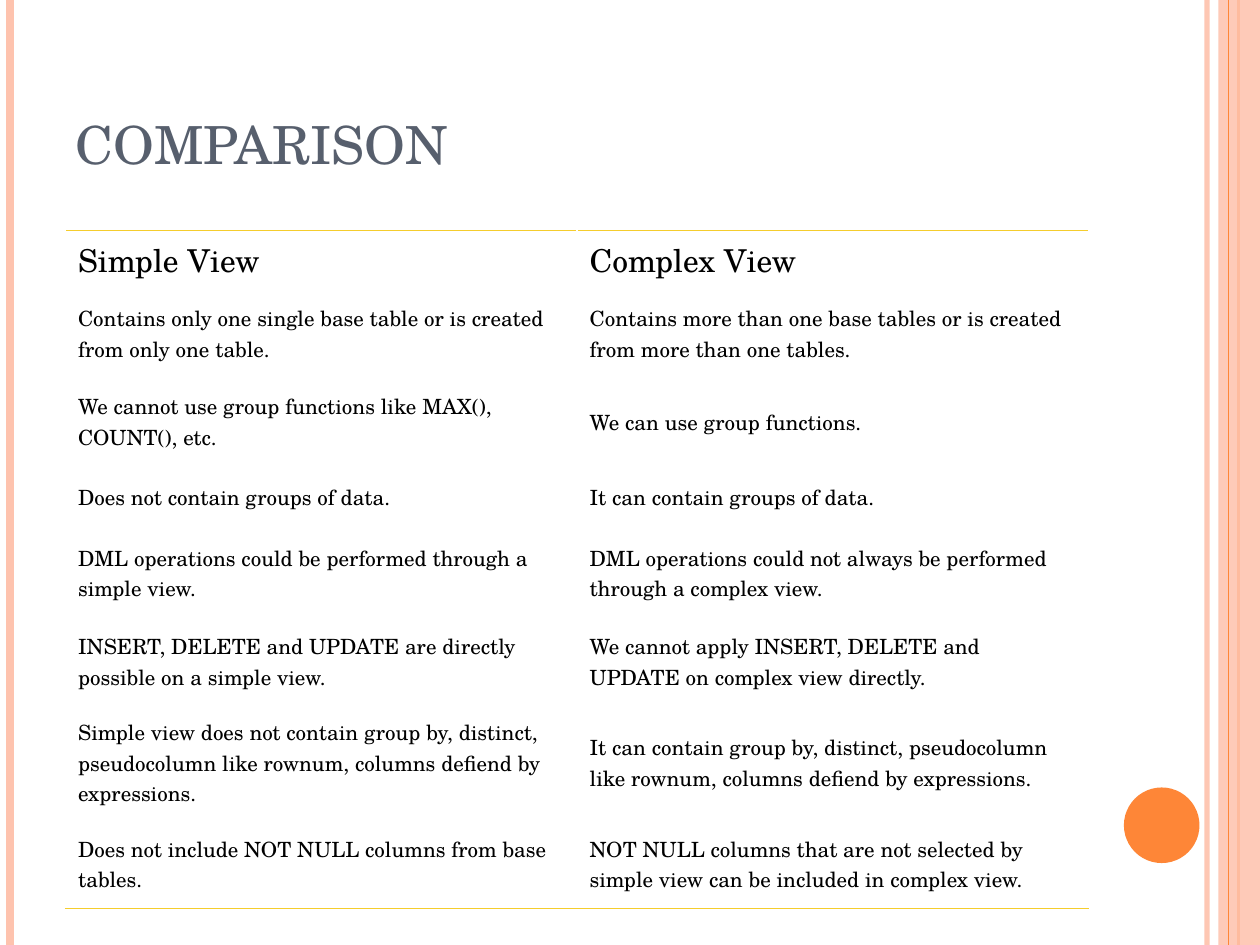
from lxml import etree
from pptx import Presentation
from pptx.dml.color import RGBColor
from pptx.enum.shapes import MSO_CONNECTOR, MSO_SHAPE
from pptx.enum.text import MSO_ANCHOR, PP_ALIGN
from pptx.oxml.ns import qn
from pptx.util import Inches, Pt

LINE = MSO_CONNECTOR.STRAIGHT
RECT = MSO_SHAPE.RECTANGLE
OVAL = MSO_SHAPE.OVAL
LEFT = PP_ALIGN.LEFT
MIDDLE = MSO_ANCHOR.MIDDLE
BOTTOM = MSO_ANCHOR.BOTTOM

FONT = "TeX Gyre Schola"
HUES = {"peach": "FEC3AE", "orange": "FE8637", "slate": "575F6D",
        "ink": "000000", "gold": "F5CD2D"}
STYLES = {
    "title": {"size": Pt(30), "name": FONT, "bold": False},
    "head": {"size": Pt(18), "name": FONT, "bold": False},
    "body": {"size": Pt(12), "name": FONT, "bold": False},
}
RULES = [(9.58, "peach", 3, 93), (0.08, "peach", 4.5, 100),
         (9.83, "orange", 1.5, 100)]
HEIGHTS = [0.4, 0.7, 0.7, 0.5, 0.7, 0.7, 0.91, 0.7]
ROWS = [
    ("Simple View", "Complex View"),
    ("Contains only one single base table or is created from only one table.",
     "Contains more than one base tables or is created from more than one tables."),
    ("We cannot use group functions like MAX(), COUNT(), etc.",
     "We can use group functions."),
    ("Does not contain groups of data.", "It can contain groups of data."),
    ("DML operations could be performed through a simple view.",
     "DML operations could not always be performed through a complex view."),
    ("INSERT, DELETE and UPDATE are directly possible on a simple view.",
     "We cannot apply INSERT, DELETE and UPDATE on complex view directly."),
    ("Simple view does not contain group by, distinct, pseudocolumn like rownum, "
     "columns defiend by expressions.",
     "It can contain group by, distinct, pseudocolumn like rownum, "
     "columns defiend by expressions."),
    ("Does not include NOT NULL columns from base tables.",
     "NOT NULL columns that are not selected by simple view "
     "can be included in complex view."),
]


class Deck:
    """Holds the style and the current slide, and draws each kind of element."""

    def __init__(self):
        self.show = Presentation()
        self.show.slide_width = Inches(10)
        self.show.slide_height = Inches(7.5)
        self.slide = self.show.slides.add_slide(self.show.slide_layouts[5])
        self.shapes = self.slide.shapes

    def hue(self, name):
        return RGBColor.from_string(HUES[name])

    def fade(self, part, alpha):
        if alpha < 100:
            tint = next(part.iter(qn("a:srgbClr")))
            etree.SubElement(tint, qn("a:alpha"), val=str(alpha * 1000))

    def label(self, frame, text, style, hue):
        frame.text = text
        para = frame.paragraphs[0]
        para.alignment = LEFT
        font = para.runs[0].font
        for key, value in STYLES[style].items():
            setattr(font, key, value)
        font.color.rgb = self.hue(hue)

    def rule(self, x, hue, width, alpha=100):
        line = self.shapes.add_connector(
            LINE, Inches(x), 0, Inches(x), self.show.slide_height)
        line.line.color.rgb = self.hue(hue)
        line.line.width = Pt(width)
        props = line._element.spPr
        self.fade(props, alpha)
        etree.SubElement(props, qn("a:effectLst"))

    def shape(self, kind, box, hue, alpha=100):
        item = self.shapes.add_shape(kind, *map(Inches, box))
        item.shadow.inherit = False
        item.fill.solid()
        item.fill.fore_color.rgb = self.hue(hue)
        item.line.fill.background()
        self.fade(item._element.spPr, alpha)

    def title(self, text, box):
        item = self.shapes.title
        item.left, item.top, item.width, item.height = map(Inches, box)
        item.text_frame.vertical_anchor = BOTTOM
        self.label(item.text_frame, text, "title", "slate")

    def edge(self, cell, side):
        line = etree.Element(qn(f"a:{side}"), w=str(Pt(0.45)))
        fill = etree.SubElement(line, qn("a:solidFill"))
        etree.SubElement(fill, qn("a:srgbClr"), val=HUES["gold"])
        cell._tc.get_or_add_tcPr().insert(0, line)

    def table(self, rows, heights, box):
        grid = self.shapes.add_table(
            len(rows), len(rows[0]), *map(Inches, box)).table
        grid.first_row = grid.horz_banding = False
        for r, texts in enumerate(rows):
            grid.rows[r].height = Inches(heights[r])
            for c, text in enumerate(texts):
                cell = grid.cell(r, c)
                cell.fill.background()
                cell.vertical_anchor = MIDDLE
                self.label(cell.text_frame, text, "body" if r else "head", "ink")
                if r == 0:
                    self.edge(cell, "lnT")
                if r == len(rows) - 1:
                    self.edge(cell, "lnB")


def main():
    deck = Deck()
    for rule in RULES:
        deck.rule(*rule)
    deck.shape(RECT, (9.67, 0, 0.33, 7.5), "peach", 87)
    deck.rule(9.75, "orange", 0.75)
    deck.shape(OVAL, (8.92, 6.25, 0.6, 0.6), "orange")
    deck.title("COMPARISON", (0.5, 0.19, 8.17, 1.25))
    deck.table(ROWS, HEIGHTS, (0.52, 1.83, 8.12, sum(HEIGHTS)))
    deck.show.save("out.pptx")


if __name__ == "__main__":
    main()
